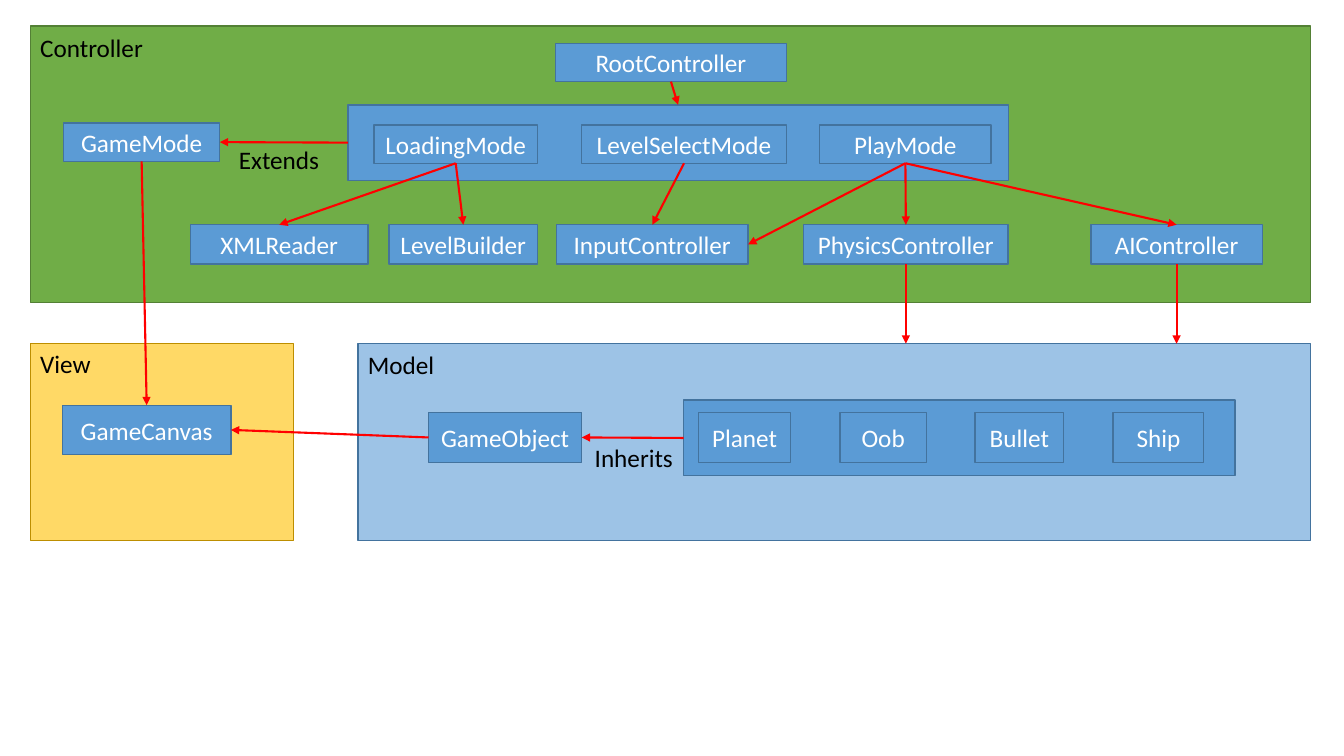
from dataclasses import dataclass
from pptx import Presentation, util as u
from pptx.dml.color import RGBColor
from pptx.enum import shapes, text
from pptx.oxml.ns import qn
from lxml import etree


@dataclass(frozen=True)
class Theme:
    font: str = "Calibri"
    size: int = 18
    edge: float = 1
    arrow_width: float = 1.5
    node: tuple = ("5B9BD5", "43739E")
    controller: tuple = ("70AD47", "538035")
    view: tuple = ("FFD966", "BD8E00")
    model: tuple = ("9DC3E6", "43739E")
    light: str = "FFFFFF"
    dark: str = "000000"
    arrow: str = "FF0000"


THEME = Theme()
TOP, LEFT, BOTTOM, RIGHT = range(4)


def within(box, x, y, width, height):
    return box[0] + x, box[1] + y, width, height


def write(frame, wording, colour):
    run = frame.paragraphs[0].add_run()
    run.text = wording
    run.font.name = THEME.font
    run.font.size = u.Pt(THEME.size)
    run.font.color.rgb = RGBColor.from_string(colour)


def block(slide, box, colours, wording=None):
    shape = slide.shapes.add_shape(shapes.MSO_SHAPE.RECTANGLE, *map(u.Inches, box))
    fill, edge = colours
    shape.shadow.inherit = False
    shape.fill.solid()
    shape.fill.fore_color.rgb = RGBColor.from_string(fill)
    shape.line.color.rgb = RGBColor.from_string(edge)
    shape.line.width = u.Pt(THEME.edge)
    if wording:
        frame = shape.text_frame
        frame.vertical_anchor = text.MSO_ANCHOR.MIDDLE
        frame.paragraphs[0].alignment = text.PP_ALIGN.CENTER
        write(frame, wording, THEME.light)
    return shape


def row(slide, box, y, height, members):
    return {name: block(slide, within(box, x, y, width, height), THEME.node, name)
            for name, x, width in members}


def label(slide, box, wording):
    frame = slide.shapes.add_textbox(*map(u.Inches, box)).text_frame
    frame.word_wrap = False
    frame.auto_size = text.MSO_AUTO_SIZE.SHAPE_TO_FIT_TEXT
    write(frame, wording, THEME.dark)


def arrow(slide, source, source_side, target, target_side):
    link = slide.shapes.add_connector(shapes.MSO_CONNECTOR.STRAIGHT, 0, 0, 0, 0)
    link.begin_connect(source, source_side)
    if target_side is None:
        link.end_x, link.end_y = link.begin_x, target.top
    else:
        link.end_connect(target, target_side)
    link.line.color.rgb = RGBColor.from_string(THEME.arrow)
    link.line.width = u.Pt(THEME.arrow_width)
    etree.SubElement(link.line._get_or_add_ln(), qn("a:tailEnd"), type="triangle")
    etree.SubElement(link._element.spPr, qn("a:effectLst"))


def controller_region(slide, box):
    region = block(slide, box, THEME.controller)
    modes = block(slide, within(box, 3.15, 0.78, 6.55, 0.75), THEME.node)
    parts = {"Controller": region, "Modes": modes}
    parts |= row(slide, box, 0.17, 0.38, [("RootController", 5.21, 2.29)])
    parts |= row(slide, box, 0.96, 0.38, [("GameMode", 0.33, 1.55)])
    parts |= row(slide, box, 0.98, 0.38, [
        ("LoadingMode", 3.41, 1.62),
        ("LevelSelectMode", 5.47, 2.03),
        ("PlayMode", 7.83, 1.7),
    ])
    parts |= row(slide, box, 1.97, 0.39, [
        ("XMLReader", 1.59, 1.76),
        ("LevelBuilder", 3.56, 1.47),
        ("InputController", 5.22, 1.9),
        ("PhysicsController", 7.67, 2.03),
        ("AIController", 10.52, 1.7),
    ])
    label(slide, within(box, 0, 0.01, 1.23, 0.4), "Controller")
    label(slide, within(box, 1.97, 1.12, 1.01, 0.4), "Extends")
    return parts


def view_region(slide, box):
    parts = {"View": block(slide, box, THEME.view)}
    parts |= row(slide, box, 0.61, 0.49, [("GameCanvas", 0.32, 1.67)])
    label(slide, within(box, 0, 0, 0.71, 0.4), "View")
    return parts


def model_region(slide, box):
    region = block(slide, box, THEME.model)
    objects = block(slide, within(box, 3.23, 0.56, 5.47, 0.75), THEME.node)
    parts = {"Model": region, "Objects": objects}
    parts |= row(slide, box, 0.68, 0.5, [
        ("GameObject", 0.7, 1.52),
        ("Planet", 3.38, 0.91),
        ("Oob", 4.78, 0.86),
        ("Bullet", 6.12, 0.88),
        ("Ship", 7.49, 0.9),
    ])
    label(slide, within(box, 0, 0.01, 0.87, 0.4), "Model")
    label(slide, within(box, 2.25, 0.93, 0.99, 0.4), "Inherits")
    return parts


def dependencies(slide, parts):
    for source, source_side, target, target_side in [
        ("RootController", BOTTOM, "Modes", TOP),
        ("Modes", LEFT, "GameMode", RIGHT),
        ("LoadingMode", BOTTOM, "XMLReader", TOP),
        ("LoadingMode", BOTTOM, "LevelBuilder", TOP),
        ("LevelSelectMode", BOTTOM, "InputController", TOP),
        ("PlayMode", BOTTOM, "InputController", RIGHT),
        ("PlayMode", BOTTOM, "PhysicsController", TOP),
        ("PlayMode", BOTTOM, "AIController", TOP),
        ("PhysicsController", BOTTOM, "Model", None),
        ("AIController", BOTTOM, "Model", None),
        ("GameMode", BOTTOM, "GameCanvas", TOP),
        ("GameObject", LEFT, "GameCanvas", RIGHT),
        ("Objects", LEFT, "GameObject", RIGHT),
    ]:
        arrow(slide, parts[source], source_side, parts[target], target_side)


deck = Presentation()
deck.slide_width, deck.slide_height = u.Inches(13.33), u.Inches(7.5)
architecture = deck.slides.add_slide(deck.slide_layouts[6])
parts = view_region(architecture, (0.3, 3.41, 2.61, 1.95))
parts |= model_region(architecture, (3.55, 3.41, 9.45, 1.95))
parts |= controller_region(architecture, (0.3, 0.26, 12.7, 2.74))
dependencies(architecture, parts)
deck.save("out.pptx")
